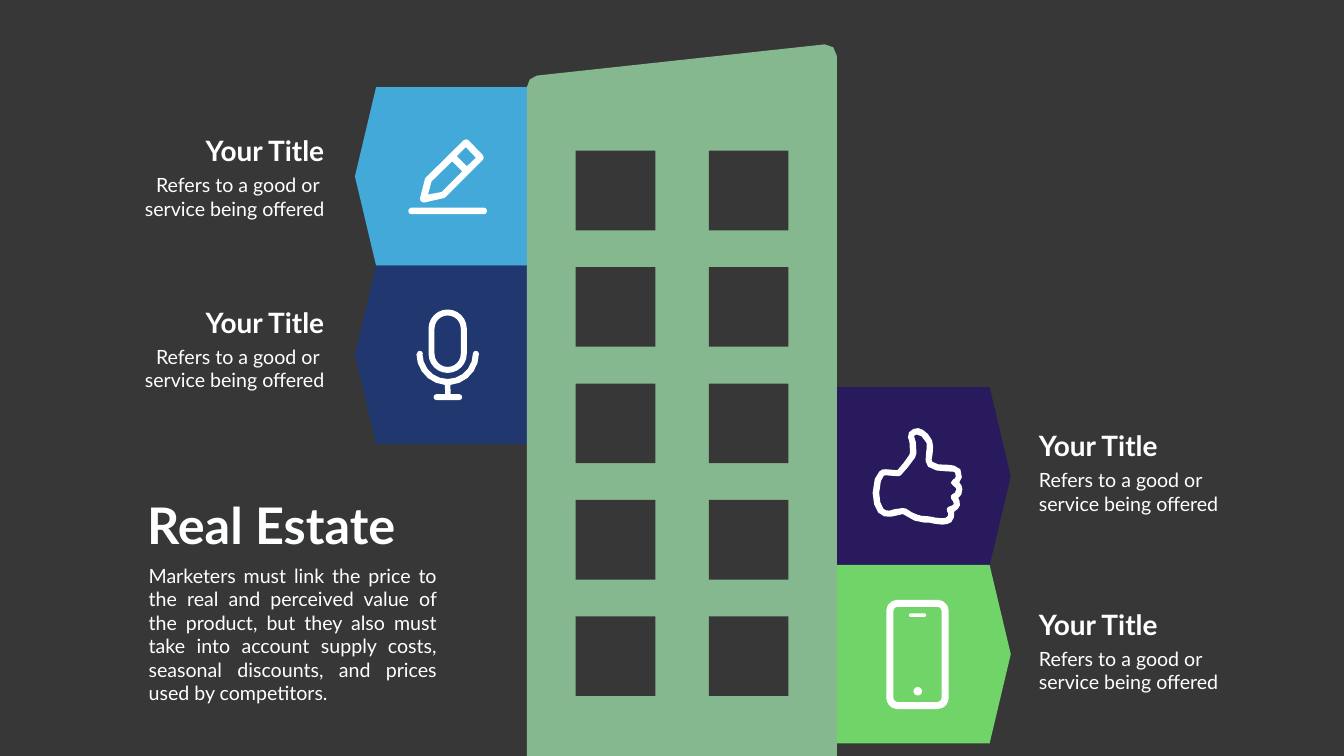
from dataclasses import dataclass
from itertools import product
from math import cos, radians, sin

from pptx import Presentation
from pptx.dml.color import RGBColor
from pptx.enum.shapes import MSO_SHAPE
from pptx.enum.text import MSO_AUTO_SIZE, PP_ALIGN
from pptx.shapes.autoshape import Shape
from pptx.slide import Slide
from pptx.util import Inches, Pt

SLIDE_WIDTH, SLIDE_HEIGHT = 26.66, 15
CHARCOAL = RGBColor(0x37, 0x37, 0x37)
SAGE = RGBColor(0x86, 0xB8, 0x8F)
SKY = RGBColor(0x42, 0xA9, 0xD8)
NAVY = RGBColor(0x20, 0x37, 0x70)
PURPLE = RGBColor(0x28, 0x1A, 0x5C)
GREEN = RGBColor(0x71, 0xD4, 0x68)
WHITE = RGBColor(0xFF, 0xFF, 0xFF)
TEXT_WHITE = RGBColor(0xFE, 0xFF, 0xFF)

FLAG_HEIGHT, FLAG_SHOULDER, FLAG_REACH = 3.54, 3.27, 3.69
TITLE_WIDTH, BODY_WIDTH = 2.72, 4.18
CURVE_STEPS = 2

# A contour step is a line end (x, y) or a cubic curve (x1, y1, x2, y2, x, y).
Contour = list[tuple[float, ...]]


@dataclass(frozen=True)
class Side:
    wall: float
    direction: int
    text_edge: float
    align: PP_ALIGN
    body: str


@dataclass(frozen=True)
class Service:
    side: Side
    flag_top: float
    title_top: float
    color: RGBColor


LEFT = Side(10.73, -1, 6.53, PP_ALIGN.RIGHT, "Refers to a good or \nservice being offered")
RIGHT = Side(16.36, 1, 20.51, PP_ALIGN.LEFT, "Refers to a good or\nservice being offered")
SERVICES = [
    Service(LEFT, 1.73, 2.61, SKY),
    Service(LEFT, 5.27, 6.01, NAVY),
    Service(RIGHT, 7.68, 8.46, PURPLE),
    Service(RIGHT, 11.21, 12, GREEN),
]

TOWER: Contour = [
    (16.36, 0.88), (10.65, 1.5), (10.54, 1.52, 10.45, 1.61, 10.45, 1.73),
    (10.45, SLIDE_HEIGHT), (16.6, SLIDE_HEIGHT), (16.6, 1.11),
    (16.6, 0.97, 16.49, 0.87, 16.36, 0.88),
]
PENCIL: list[Contour] = [
    [(8.56, 3.6), (8.97, 3.2), (9.17, 3.4), (8.76, 3.81), (8.49, 3.86)],
    [(9.24, 2.92), (9.44, 3.13), (9.26, 3.3), (9.06, 3.1)],
    [(8.41, 4.02), (8.81, 3.93), (8.84, 3.91), (9.58, 3.17),
     (9.6, 3.15, 9.6, 3.11, 9.58, 3.08), (9.29, 2.78), (9.27, 2.76, 9.22, 2.76, 9.2, 2.78),
     (8.45, 3.52), (8.43, 3.55), (8.33, 3.94), (8.32, 3.98, 8.36, 4.02, 8.41, 4.02)],
]
THUMB_INSIDE: Contour = [
    (18.38, 10.24), (18.46, 10.25),
    (18.51, 10.26, 18.58, 10.28, 18.65, 10.28), (18.75, 10.29, 18.78, 10.27, 18.78, 10.26),
    (18.81, 10.24, 18.81, 10.22, 18.81, 10.19), (18.79, 10.15), (18.78, 10.1),
    (18.79, 10.07, 18.81, 10.06, 18.83, 10.05),
    (18.88, 10.04, 18.91, 10.02, 18.92, 10), (18.93, 9.97, 18.89, 9.92, 18.87, 9.9),
    (18.86, 9.84), (18.9, 9.8), (18.94, 9.78), (18.97, 9.71),
    (18.97, 9.7, 18.97, 9.67, 18.9, 9.63), (18.86, 9.58), (18.9, 9.52),
    (18.92, 9.51, 18.96, 9.48, 18.96, 9.46), (18.97, 9.37, 18.93, 9.36, 18.91, 9.36),
    (18.74, 9.35), (18.63, 9.35, 18.52, 9.34, 18.41, 9.26),
    (18.34, 9.21, 18.36, 9.1, 18.37, 8.99), (18.38, 8.92, 18.39, 8.83, 18.38, 8.79),
    (18.32, 8.67, 18.24, 8.61, 18.18, 8.62), (18.13, 8.65), (18.14, 8.68),
    (18.16, 8.73, 18.18, 8.78, 18.18, 8.99), (18.18, 9.03, 18.16, 9.1, 18.01, 9.27),
    (17.87, 9.43), (17.82, 9.45), (17.56, 9.43), (17.53, 9.44),
    (17.5, 9.48, 17.44, 9.57, 17.44, 9.78), (17.44, 9.92, 17.47, 10.02, 17.52, 10.09),
    (17.55, 10.13, 17.6, 10.14, 17.65, 10.13), (17.71, 10.11, 17.77, 10.09, 17.84, 10.09),
    (17.9, 10.08), (17.97, 10.09),
    (18.05, 10.15, 18.13, 10.19, 18.19, 10.21), (18.26, 10.24, 18.32, 10.24, 18.38, 10.24),
]
THUMB_OUTSIDE: Contour = [
    (18.69, 10.41), (18.6, 10.41, 18.48, 10.38, 18.43, 10.37), (18.34, 10.37),
    (18.24, 10.37, 18.05, 10.32, 17.91, 10.2), (17.69, 10.25),
    (17.59, 10.28, 17.49, 10.24, 17.42, 10.17), (17.35, 10.08, 17.31, 9.95, 17.31, 9.78),
    (17.31, 9.54, 17.38, 9.42, 17.44, 9.36), (17.47, 9.32, 17.52, 9.3, 17.57, 9.31),
    (17.8, 9.33), (17.92, 9.19), (18.05, 9.03, 18.05, 8.99, 18.05, 8.99),
    (18.05, 8.8, 18.04, 8.76, 18.03, 8.73), (18.01, 8.68),
    (18, 8.61, 18.04, 8.53, 18.12, 8.51), (18.18, 8.48, 18.25, 8.49, 18.31, 8.53),
    (18.38, 8.57, 18.44, 8.64, 18.49, 8.74), (18.52, 8.81, 18.51, 8.91, 18.5, 9.01),
    (18.48, 9.12), (18.49, 9.16),
    (18.57, 9.22, 18.64, 9.22, 18.74, 9.22), (18.8, 9.22, 18.86, 9.22, 18.93, 9.24),
    (19.04, 9.25, 19.09, 9.34, 19.08, 9.47), (19.03, 9.57),
    (19.07, 9.61, 19.09, 9.66, 19.09, 9.71), (19.09, 9.79, 19.06, 9.85, 19.01, 9.88),
    (19.03, 9.92, 19.05, 9.97, 19.04, 10.03), (19.02, 10.08, 18.99, 10.12, 18.93, 10.15),
    (18.94, 10.24, 18.92, 10.3, 18.87, 10.36), (18.83, 10.39, 18.77, 10.41, 18.69, 10.41),
]


def arc(x: float, y: float, radius: float, start: int, end: int, steps: int = 4) -> Contour:
    """Points around a centre, with angles in degrees growing clockwise."""
    angles = [radians(start + (end - start) * i / steps) for i in range(steps + 1)]
    return [(x + radius * cos(a), y + radius * sin(a)) for a in angles]


MIC_STAND: Contour = [
    *arc(9.44, 7.02, 0.06, 0, -180), *arc(8.88, 7.02, 0.5, 0, 180, 10),
    *arc(8.33, 7.02, 0.06, 0, -180), *arc(8.88, 7.02, 0.62, 180, 95, 5),
    (8.83, 7.82), *arc(8.66, 7.88, 0.06, -90, -270),
    *arc(9.11, 7.88, 0.06, 90, -90), (8.94, 7.82), *arc(8.88, 7.02, 0.62, 85, 0, 5),
]


def flatten(contour: Contour) -> list[tuple[int, int]]:
    """Turn curves into short lines, in EMU."""
    points = [contour[0]]
    for *controls, x, y in contour[1:]:
        if not controls:
            points.append((x, y))
            continue
        (x0, y0), (x1, y1, x2, y2) = points[-1], controls
        for t in (i / CURVE_STEPS for i in range(1, CURVE_STEPS + 1)):
            a, b, c, d = (1 - t) ** 3, 3 * t * (1 - t) ** 2, 3 * t * t * (1 - t), t ** 3
            points.append((a * x0 + b * x1 + c * x2 + d * x, a * y0 + b * y1 + c * y2 + d * y))
    return [(Inches(x), Inches(y)) for x, y in points]


def paint(shape: Shape, color: RGBColor) -> None:
    shape.shadow.inherit = False
    shape.fill.solid()
    shape.fill.fore_color.rgb = color
    shape.line.fill.background()


def add_outline(slide: Slide, color: RGBColor, *contours: Contour) -> None:
    first, *others = map(flatten, contours)
    builder = slide.shapes.build_freeform(*first[0])
    builder.add_line_segments(first[1:])
    for points in others:
        builder.move_to(*points[0])
        builder.add_line_segments(points[1:])
    paint(builder.convert_to_shape(), color)


def add_preset(slide: Slide, kind: MSO_SHAPE, color: RGBColor, left: float, top: float,
               width: float, height: float) -> Shape:
    shape = slide.shapes.add_shape(kind, Inches(left), Inches(top), Inches(width), Inches(height))
    paint(shape, color)
    return shape


def add_capsule(slide: Slide, left: float, top: float, width: float, height: float,
                rounding: float = 0.5, stroke: float = 0) -> None:
    """Add a white rounded bar, or only its border when a stroke in points is given."""
    shape = add_preset(slide, MSO_SHAPE.ROUNDED_RECTANGLE, WHITE, left, top, width, height)
    shape.adjustments[0] = rounding
    if stroke:
        shape.fill.background()
        shape.line.color.rgb = WHITE
        shape.line.width = Pt(stroke)


def add_text(slide: Slide, text: str, left: float, top: float, width: float, height: float,
             size: int, align: PP_ALIGN, bold: bool = False, wrap: bool = True) -> None:
    box = slide.shapes.add_textbox(Inches(left), Inches(top), Inches(width), Inches(height))
    frame = box.text_frame
    frame.text = text
    frame.word_wrap = wrap
    frame.auto_size = MSO_AUTO_SIZE.SHAPE_TO_FIT_TEXT
    for paragraph in frame.paragraphs:
        paragraph.alignment = align
        for run in paragraph.runs:
            run.font.name, run.font.size, run.font.bold = "Lato", Pt(size), bold
            run.font.color.rgb = TEXT_WHITE


def add_flag(slide: Slide, service: Service) -> None:
    wall, top = service.side.wall, service.flag_top
    shoulder = wall + service.side.direction * FLAG_SHOULDER
    tip = wall + service.side.direction * FLAG_REACH
    bottom = top + FLAG_HEIGHT
    add_outline(slide, service.color, [(shoulder, bottom), (wall, bottom), (wall, top),
                                       (shoulder, top), (tip, top + FLAG_HEIGHT / 2)])


def add_caption(slide: Slide, service: Service) -> None:
    side, top = service.side, service.title_top
    title_left, body_left = (side.text_edge - (width if side is LEFT else 0)
                             for width in (TITLE_WIDTH, BODY_WIDTH))
    add_text(slide, "Your Title", title_left, top, TITLE_WIDTH, 0.77, 40, side.align, bold=True)
    add_text(slide, side.body, body_left, top + 0.78, BODY_WIDTH, 1.04, 28, side.align)


def add_icons(slide: Slide) -> None:
    add_outline(slide, WHITE, *PENCIL)
    add_capsule(slide, 8.1, 4.12, 1.56, 0.13)
    add_capsule(slide, 8.56, 6.2, 0.64, 1.14, stroke=8.5)
    add_outline(slide, WHITE, MIC_STAND)
    add_outline(slide, WHITE, THUMB_INSIDE, THUMB_OUTSIDE)
    add_capsule(slide, 17.65, 11.97, 1.1, 2.03, rounding=0.14, stroke=10)
    add_preset(slide, MSO_SHAPE.OVAL, WHITE, 18.12, 13.63, 0.17, 0.17)
    add_capsule(slide, 18.03, 12.17, 0.34, 0.07)


def main() -> None:
    deck = Presentation()
    deck.slide_width, deck.slide_height = Inches(SLIDE_WIDTH), Inches(SLIDE_HEIGHT)
    slide = deck.slides.add_slide(deck.slide_layouts[6])
    slide.background.fill.solid()
    slide.background.fill.fore_color.rgb = CHARCOAL
    for service in SERVICES:
        add_flag(slide, service)
    add_outline(slide, SAGE, TOWER)
    for row, column in product(range(5), range(2)):
        add_preset(slide, MSO_SHAPE.RECTANGLE, CHARCOAL,
                   11.42 + 2.64 * column, 2.99 + 2.31 * row, 1.58, 1.58)
    add_icons(slide)
    for service in SERVICES:
        add_caption(slide, service)
    add_text(slide, "Real Estate", 2.82, 9.75, 5.26, 1.31, 72, PP_ALIGN.LEFT,
             bold=True, wrap=False)
    add_text(slide, "Marketers must link the price to the real and perceived value of the product, "
             "but they also must take into account supply costs, seasonal discounts, and prices "
             "used by competitors.", 2.85, 11.13, 5.91, 2.93, 28, PP_ALIGN.JUSTIFY)
    deck.save("out.pptx")


if __name__ == "__main__":
    main()
